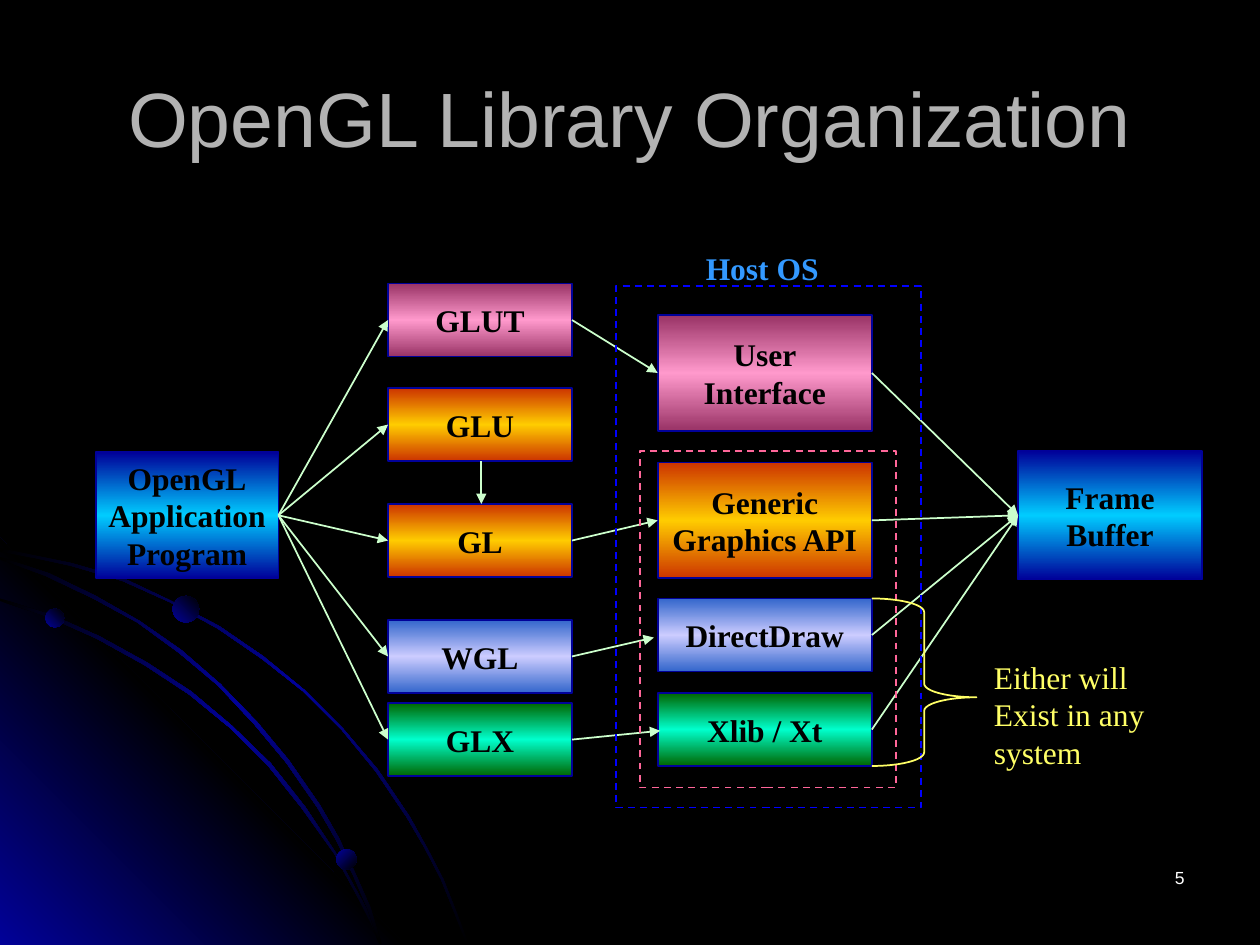
from dataclasses import dataclass
from lxml.etree import SubElement
from pptx import Presentation
from pptx.dml.color import RGBColor
from pptx.enum.dml import MSO_LINE
from pptx.enum.shapes import MSO_CONNECTOR, MSO_SHAPE
from pptx.enum.text import MSO_ANCHOR, PP_ALIGN
from pptx.oxml.ns import qn
from pptx.util import Inches, Pt

COLORS = {
    "black": "000000", "white": "FFFFFF", "title": "B2B2B2", "navy": "010199",
    "arrow": "CCFFCC", "host": "3399FF", "host_frame": "0000FF",
    "api_frame": "FF6699", "note": "FFFF66",
}
BOX_FILLS = {
    "blue": ("000099", "00CCFF"), "orange": ("CC3300", "FFCC00"),
    "pink": ("993366", "FF99CC"), "lilac": ("3366CC", "CCCCFF"),
    "green": ("006600", "00FFCC"),
}
SERIF = "Times New Roman"
LINE_WIDTH = Pt(0.99)


@dataclass
class Box:
    text: str
    fill: str
    left: float
    top: float
    width: float
    height: float

    @property
    def middle(self) -> float:
        return self.top + self.height / 2

    @property
    def right(self) -> float:
        return self.left + self.width


@dataclass
class Swoosh:
    outer: list
    inner: list


def color(name: str) -> RGBColor:
    return RGBColor.from_string(COLORS[name])


def set_gradient(shape, stops: list, angle: int) -> None:
    """Fill with evenly spaced hex stops; the angle runs clockwise."""
    shape.fill.gradient()
    shape.fill.gradient_angle = -angle % 360
    stop_list = shape._element.spPr.find(qn("a:gradFill")).find(qn("a:gsLst"))
    for stop in list(stop_list):
        stop_list.remove(stop)
    for index, value in enumerate(stops):
        position = 100000 * index // (len(stops) - 1)
        stop = SubElement(stop_list, qn("a:gs"), pos=str(position))
        SubElement(stop, qn("a:srgbClr"), val=value)


def write_text(shape, text: str, *, size=18, font=SERIF, ink="black", bold=False,
               align=PP_ALIGN.CENTER, anchor=MSO_ANCHOR.MIDDLE, wrap=False) -> None:
    frame = shape.text_frame
    frame.word_wrap = wrap
    frame.vertical_anchor = anchor
    frame.text = text
    for paragraph in frame.paragraphs:
        paragraph.alignment = align
        paragraph.font.size = Pt(size)
        paragraph.font.name = font
        paragraph.font.bold = bold
        paragraph.font.color.rgb = color(ink)


def add_label(shapes, text: str, left, top, width, height, **text_format) -> None:
    label = shapes.add_textbox(Inches(left), Inches(top), Inches(width), Inches(height))
    write_text(label, text, anchor=MSO_ANCHOR.TOP, **text_format)


def add_preset(shapes, kind, left, top, width, height, line=None):
    shape = shapes.add_shape(kind, Inches(left), Inches(top), Inches(width), Inches(height))
    shape.shadow.inherit = False
    shape.fill.background()
    if line:
        shape.line.color.rgb = color(line)
        shape.line.width = LINE_WIDTH
    else:
        shape.line.fill.background()
    return shape


def add_polygon(shapes, points: list, stops: list, angle: int) -> None:
    builder = shapes.build_freeform(Inches(points[0][0]), Inches(points[0][1]))
    builder.add_line_segments([(Inches(x), Inches(y)) for x, y in points[1:]], close=True)
    shape = builder.convert_to_shape()
    shape.shadow.inherit = False
    shape.line.fill.background()
    set_gradient(shape, stops, angle)


def add_box(shapes, box: Box) -> None:
    shape = add_preset(shapes, MSO_SHAPE.RECTANGLE, box.left, box.top,
                       box.width, box.height, "navy")
    edge, center = BOX_FILLS[box.fill]
    set_gradient(shape, [edge, center, edge], 90)
    write_text(shape, box.text, bold=True)


def add_arrow(shapes, x1: float, y1: float, x2: float, y2: float) -> None:
    arrow = shapes.add_connector(MSO_CONNECTOR.STRAIGHT, Inches(x1), Inches(y1),
                                 Inches(x2), Inches(y2))
    arrow.line.color.rgb = color("arrow")
    arrow.line.width = LINE_WIDTH
    SubElement(arrow.line._get_or_add_ln(), qn("a:tailEnd"), type="triangle")
    SubElement(arrow._element.spPr, qn("a:effectLst"))


def join(shapes, start: Box, end: Box, dx=0.0, dy=0.0) -> None:
    add_arrow(shapes, start.right, start.middle, end.left + dx, end.middle + dy)


presentation = Presentation()
presentation.slide_width, presentation.slide_height = Inches(10), Inches(7.5)
slide = presentation.slides.add_slide(presentation.slide_layouts[5])
slide.background.fill.solid()
slide.background.fill.fore_color.rgb = color("black")
shapes = slide.shapes

# Background corner, swooshes and dots
NAVY, BLACK = COLORS["navy"], COLORS["black"]
SWOOSHES = [
    Swoosh([(0, 4.35), (0.28, 4.41), (0.57, 4.47), (0.98, 4.59), (1.36, 4.77),
            (1.74, 4.97), (2.09, 5.21), (2.42, 5.48), (2.72, 5.78), (3, 6.11),
            (3.25, 6.48), (3.39, 6.73), (3.52, 6.98), (3.62, 7.23), (3.72, 7.49)],
           [(0, 4.38), (0.28, 4.43), (0.56, 4.49), (0.97, 4.61), (1.35, 4.78),
            (1.73, 4.99), (2.08, 5.23), (2.41, 5.49), (2.71, 5.79), (2.98, 6.12),
            (3.23, 6.49), (3.37, 6.73), (3.5, 6.98), (3.6, 7.23), (3.7, 7.49)]),
    Swoosh([(0, 4.75), (0.41, 4.88), (0.79, 5.05), (1.17, 5.26), (1.52, 5.49),
            (1.84, 5.76), (2.15, 6.06), (2.42, 6.4), (2.66, 6.76), (2.86, 7.12),
            (2.96, 7.3), (3.03, 7.49)],
           [(0, 4.77), (0.39, 4.9), (0.77, 5.07), (1.15, 5.28), (1.5, 5.51),
            (1.83, 5.78), (2.13, 6.08), (2.4, 6.42), (2.65, 6.77), (2.85, 7.14),
            (2.94, 7.32), (3.01, 7.49)]),
    Swoosh([(0, 4.42), (0.39, 4.55), (0.76, 4.73), (1.11, 4.93), (1.44, 5.16),
            (1.75, 5.43), (2.04, 5.73), (2.29, 6.03), (2.54, 6.39), (2.69, 6.65),
            (2.82, 6.93), (2.94, 7.2), (3.03, 7.49)],
           [(0, 4.44), (0.36, 4.57), (0.74, 4.75), (1.09, 4.94), (1.42, 5.18),
            (1.73, 5.44), (2.02, 5.75), (2.27, 6.05), (2.52, 6.41), (2.67, 6.67),
            (2.8, 6.94), (2.92, 7.22), (3.01, 7.49)]),
]
add_polygon(shapes, [(0, 4.27), (3.22, 7.5), (0, 7.5)], [NAVY, BLACK, NAVY], 315)
for swoosh in SWOOSHES:
    add_polygon(shapes, swoosh.outer + swoosh.inner[::-1], [BLACK, NAVY, BLACK], 45)
for left, top, size, angle in [(0.36, 4.83, 0.15, 315), (2.67, 6.74, 0.16, 45),
                               (1.37, 4.73, 0.21, 315)]:
    dot = add_preset(shapes, MSO_SHAPE.OVAL, left, top, size, size)
    set_gradient(dot, [NAVY, BLACK], angle)

# Title
title = shapes.title
title.left, title.top, title.width, title.height = map(Inches, (0.5, 0.3, 9, 1.25))
write_text(title, "OpenGL Library Organization", size=44, font="Arial", ink="title", wrap=True)

# Boxes
application = Box("OpenGL\nApplication\nProgram", "blue", 0.76, 3.59, 1.45, 1)
frame_buffer = Box("Frame\nBuffer", "blue", 8.08, 3.58, 1.46, 1.02)
glut, glu, gl, wgl, glx = libraries = [
    Box(text, fill, 3.08, top, 1.46, 0.58)
    for text, fill, top in [("GLUT", "pink", 2.25), ("GLU", "orange", 3.08),
                            ("GL", "orange", 4), ("WGL", "lilac", 4.92),
                            ("GLX", "green", 5.58)]]
interface, graphics_api, direct_draw, xlib = host_parts = [
    Box(text, fill, 5.22, top, 1.7, height)
    for text, fill, top, height in [("User\nInterface", "pink", 2.5, 0.92),
                                    ("Generic\nGraphics API", "orange", 3.67, 0.92),
                                    ("DirectDraw", "lilac", 4.75, 0.58),
                                    ("Xlib / Xt", "green", 5.5, 0.58)]]
for box in [application, *libraries, *host_parts, frame_buffer]:
    add_box(shapes, box)

# Arrows
for library in libraries:
    join(shapes, application, library)
join(shapes, glut, interface)
join(shapes, gl, graphics_api)
join(shapes, wgl, direct_draw, -0.03, 0.02)
join(shapes, glx, xlib, 0.02, 0.01)
for part in host_parts:
    join(shapes, part, frame_buffer)
add_arrow(shapes, 3.82, glu.top + glu.height, 3.82, gl.top)

# Dashed frames
for left, top, width, height, line in [(5.08, 3.58, 2.03, 2.67, "api_frame"),
                                       (4.89, 2.27, 2.42, 4.14, "host_frame")]:
    frame = add_preset(shapes, MSO_SHAPE.RECTANGLE, left, top, width, height, line)
    frame.line.dash_style = MSO_LINE.DASH

# Brace and labels
brace = add_preset(shapes, MSO_SHAPE.RIGHT_BRACE, 6.92, 4.75, 0.83, 1.33, "note")
brace.adjustments[0], brace.adjustments[1] = 0.13, 0.59
add_label(shapes, "Host OS", 5.45, 1.93, 1.2, 0.4, ink="host", bold=True)
add_label(shapes, "Either will\nExist in any\nsystem", 7.79, 5.17, 1.45, 1,
          ink="note", align=PP_ALIGN.LEFT)
add_label(shapes, "5", 7.17, 6.83, 2.33, 0.5, size=10, font="Arial", ink="white",
          align=PP_ALIGN.RIGHT, wrap=True)

presentation.save("out.pptx")
